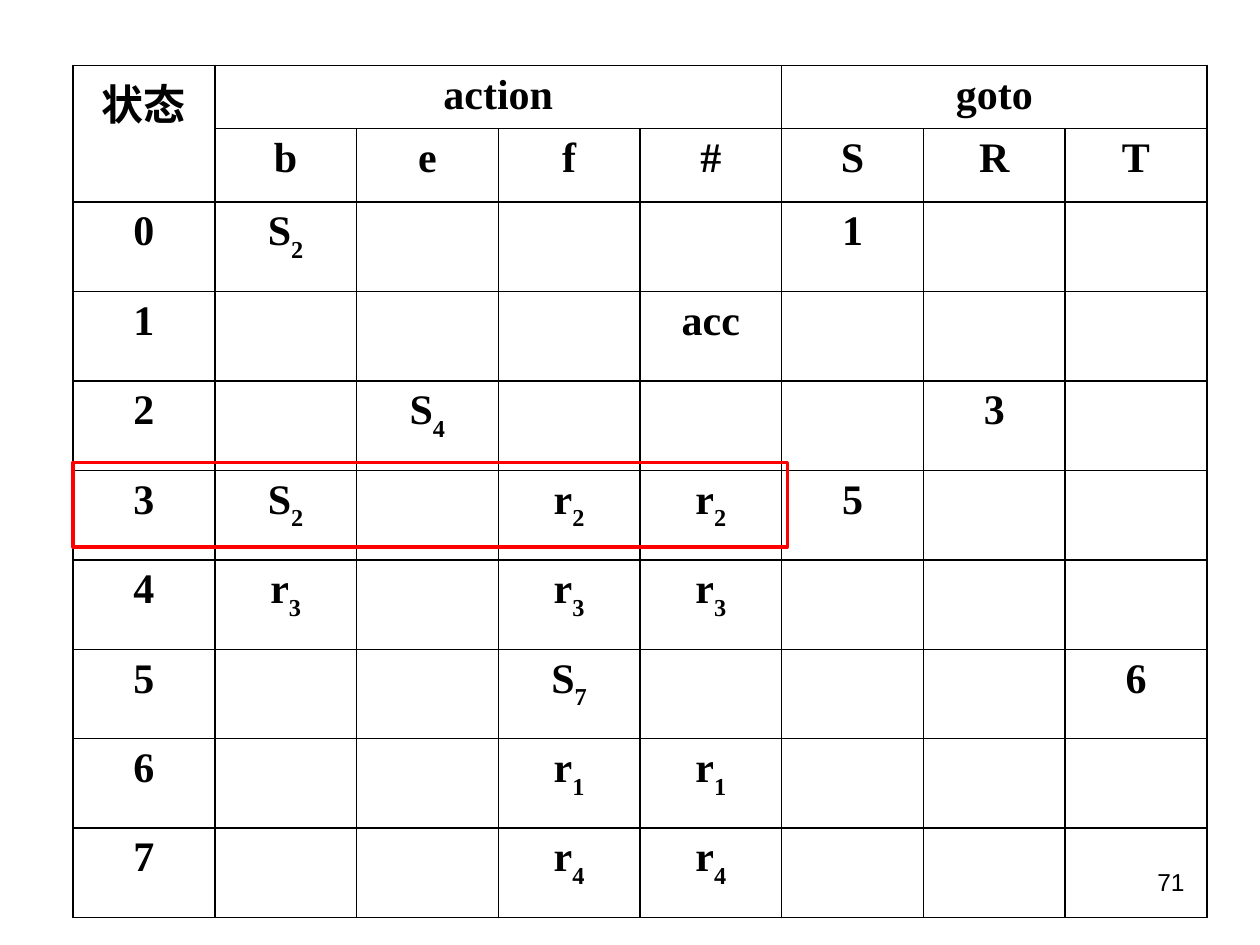
from lxml import etree
from pptx import Presentation
from pptx.dml.color import RGBColor
from pptx.enum.shapes import MSO_SHAPE
from pptx.enum.text import PP_ALIGN
from pptx.oxml.ns import qn
from pptx.util import Inches, Pt

BLACK = RGBColor(0, 0, 0)
RED = RGBColor(255, 0, 0)
RECTANGLE = MSO_SHAPE.RECTANGLE
CENTER, RIGHT = PP_ALIGN.CENTER, PP_ALIGN.RIGHT

TABLE_FONT = {"name": "Times New Roman", "size": Pt(24), "bold": True}
NUMBER_FONT = {"name": "Arial", "size": Pt(14)}

# An underscore marks the start of a subscript
PARSING_TABLE = [
    ["状态", "action", "", "", "", "goto", "", ""],
    ["", "b", "e", "f", "#", "S", "R", "T"],
    ["0", "S_2", "", "", "", "1", "", ""],
    ["1", "", "", "", "acc", "", "", ""],
    ["2", "", "S_4", "", "", "", "3", ""],
    ["3", "S_2", "", "r_2", "r_2", "5", "", ""],
    ["4", "r_3", "", "r_3", "r_3", "", "", ""],
    ["5", "", "", "S_7", "", "", "", "6"],
    ["6", "", "", "r_1", "r_1", "", "", ""],
    ["7", "", "", "r_4", "r_4", "", "", ""],
]
HEADER_SPANS = [((0, 0), (1, 0)), ((0, 1), (0, 4)), ((0, 5), (0, 7))]
ROW_HEIGHTS = [0.5, 0.58] + [0.71] * 8


class SlideBuilder:
    def __init__(self, slide):
        self.slide = slide

    def add_runs(self, paragraph, text, alignment, font_values):
        paragraph.alignment = alignment
        for index, part in enumerate(text.split("_")):
            run = paragraph.add_run()
            run.text = part
            for name, value in font_values.items():
                setattr(run.font, name, value)
            run.font.color.rgb = BLACK
            if index:
                run._r.get_or_add_rPr().set("baseline", "-30000")

    def border(self, cell):
        properties = cell._tc.get_or_add_tcPr()
        for index, side in enumerate(("lnL", "lnR", "lnT", "lnB")):
            line = etree.Element(qn(f"a:{side}"), w=str(Pt(1)))
            fill = etree.SubElement(line, qn("a:solidFill"))
            etree.SubElement(fill, qn("a:srgbClr"), val=str(BLACK))
            properties.insert(index, line)

    def table(self, rows, spans, heights, left, top, width):
        frame = self.slide.shapes.add_table(
            len(rows), len(rows[0]), Inches(left), Inches(top),
            Inches(width), Inches(sum(heights)))
        table = frame.table
        table.first_row = table.horz_banding = False
        for row, height in zip(table.rows, heights):
            row.height = Inches(height)
        for start, end in spans:
            table.cell(*start).merge(table.cell(*end))
        for row_index, row in enumerate(rows):
            for column_index, text in enumerate(row):
                cell = table.cell(row_index, column_index)
                cell.fill.background()
                self.border(cell)
                if text:
                    paragraph = cell.text_frame.paragraphs[0]
                    self.add_runs(paragraph, text, CENTER, TABLE_FONT)
                    # Hanging indent
                    properties = paragraph._p.get_or_add_pPr()
                    properties.set("marL", str(Inches(0.38)))
                    properties.set("indent", str(Inches(-0.38)))

    def text(self, text, left, top, width, height):
        shape = self.slide.shapes.add_textbox(
            Inches(left), Inches(top), Inches(width), Inches(height))
        shape.text_frame.word_wrap = True
        self.add_runs(shape.text_frame.paragraphs[0], text, RIGHT, NUMBER_FONT)

    def outline(self, left, top, width, height):
        shape = self.slide.shapes.add_shape(
            RECTANGLE, Inches(left), Inches(top), Inches(width), Inches(height))
        shape.shadow.inherit = False
        shape.fill.background()
        shape.line.color.rgb = RED
        shape.line.width = Pt(2)


def main():
    presentation = Presentation()
    presentation.slide_width = Inches(10)
    presentation.slide_height = Inches(7.5)
    slide = presentation.slides.add_slide(presentation.slide_layouts[6])
    builder = SlideBuilder(slide)

    # Parsing table
    builder.table(PARSING_TABLE, HEADER_SPANS, ROW_HEIGHTS, 0.58, 0.52, 9)

    # Slide number
    builder.text("71", 7.17, 6.83, 2.33, 0.52)

    # Highlight on the conflicting state
    builder.outline(0.58, 3.67, 5.67, 0.67)

    presentation.save("out.pptx")


if __name__ == "__main__":
    main()
